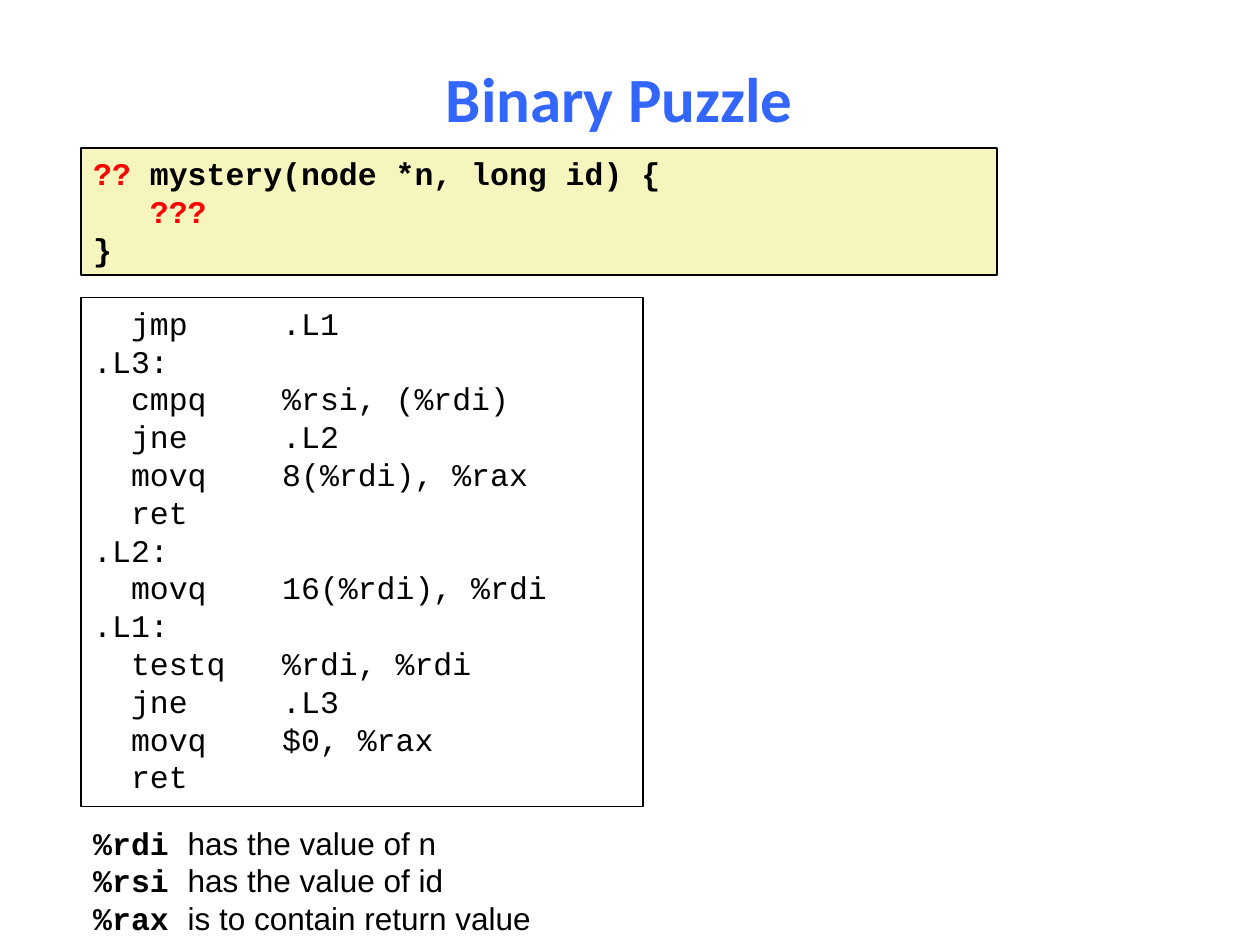
from dataclasses import dataclass
from typing import Optional

from pptx import Presentation as Deck
from pptx.dml.color import RGBColor as Rgb
from pptx.enum.shapes import MSO_SHAPE as Form
from pptx.enum.text import MSO_ANCHOR as Anchor, MSO_AUTO_SIZE as Fit, PP_ALIGN as Align
from pptx.util import Cm, Pt

HUES = {"title": "3366FF", "ink": "000000", "mark": "FF0000",
        "cream": "F6F5BD", "white": "FFFFFF"}
MONO, SANS = "Courier New", "Arial"
LEFT = 1.63


@dataclass
class Span:
    text: str
    bold: bool = False
    hue: str = "ink"
    font: str = MONO


@dataclass
class Panel:
    top: float
    width: float
    height: float
    lines: list[list[Span]]
    fill: Optional[str] = None


def color(key: str) -> Rgb:
    return Rgb.from_string(HUES[key])


def style(font, name: str, size: int, bold: bool, hue: str) -> None:
    font.name, font.size, font.bold = name, Pt(size), bold
    font.color.rgb = color(hue)


def draw(slide, panel: Panel) -> None:
    place = Cm(LEFT), Cm(panel.top), Cm(panel.width), Cm(panel.height)
    if panel.fill:
        shape = slide.shapes.add_shape(Form.RECTANGLE, *place)
        shape.shadow.inherit = False
        shape.fill.solid()
        shape.fill.fore_color.rgb = color(panel.fill)
        shape.line.color.rgb = color("ink")
        shape.line.width = Pt(1)
    else:
        shape = slide.shapes.add_textbox(*place)
    frame = shape.text_frame
    frame.word_wrap = True
    frame.vertical_anchor = Anchor.TOP
    frame.text = "\n".join("" for _ in panel.lines)
    for para, line in zip(frame.paragraphs, panel.lines):
        para.alignment = Align.LEFT
        for span in line:
            run = para.add_run()
            run.text = span.text
            style(run.font, span.font, 18, span.bold, span.hue)
    frame.auto_size = Fit.SHAPE_TO_FIT_TEXT


CODE = """  jmp     .L1
.L3:
  cmpq    %rsi, (%rdi)
  jne     .L2
  movq    8(%rdi), %rax
  ret
.L2:
  movq    16(%rdi), %rdi
.L1:
  testq   %rdi, %rdi
  jne     .L3
  movq    $0, %rax
  ret"""

NOTES = {"%rdi ": "has the value of n",
         "%rsi ": "has the value of id",
         "%rax ": "is to contain return value"}

PANELS = [
    Panel(2.99, 18.47, 2.56, [
        [Span("??", True, "mark"), Span(" mystery(node *n, long id) {", True)],
        [Span("   ???", True, "mark")],
        [Span("}", True)],
    ], "cream"),
    Panel(6, 11.33, 10.26, [[Span(line)] for line in CODE.splitlines()], "white"),
    Panel(16.48, 11.33, 2.56, [[Span(name, True), Span(text, font=SANS)]
                               for name, text in NOTES.items()]),
]

deck = Deck()
deck.slide_width, deck.slide_height = Cm(25.4), Cm(19.05)
slide = deck.slides.add_slide(deck.slide_layouts[5])

title = slide.shapes.title
title.left, title.top, title.width, title.height = Cm(0.84), Cm(1.17), Cm(23.29), Cm(1.6)
frame = title.text_frame
frame.text = "Binary Puzzle"
frame.vertical_anchor = Anchor.MIDDLE
frame.auto_size = Fit.NONE
head = frame.paragraphs[0]
head.alignment = Align.CENTER
style(head.runs[0].font, "Calibri", 36, True, "title")

for panel in PANELS:
    draw(slide, panel)

deck.save("out.pptx")
